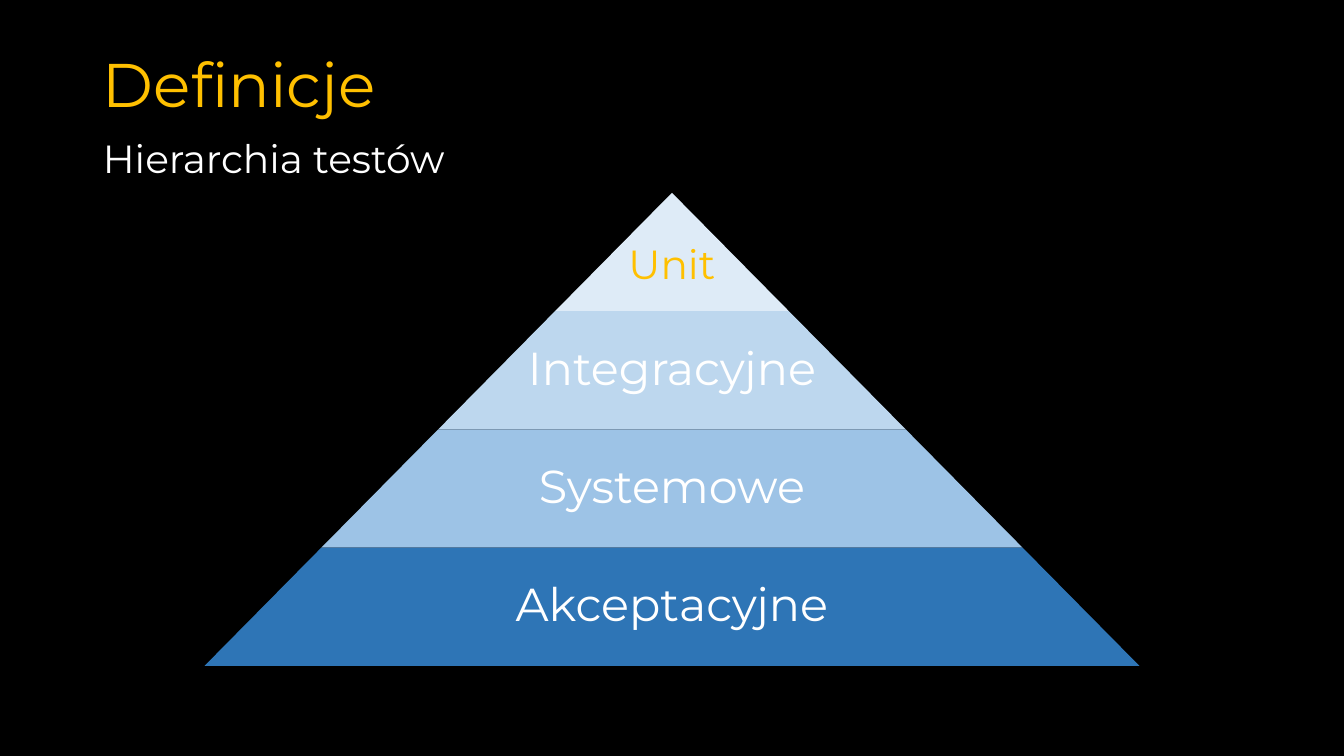
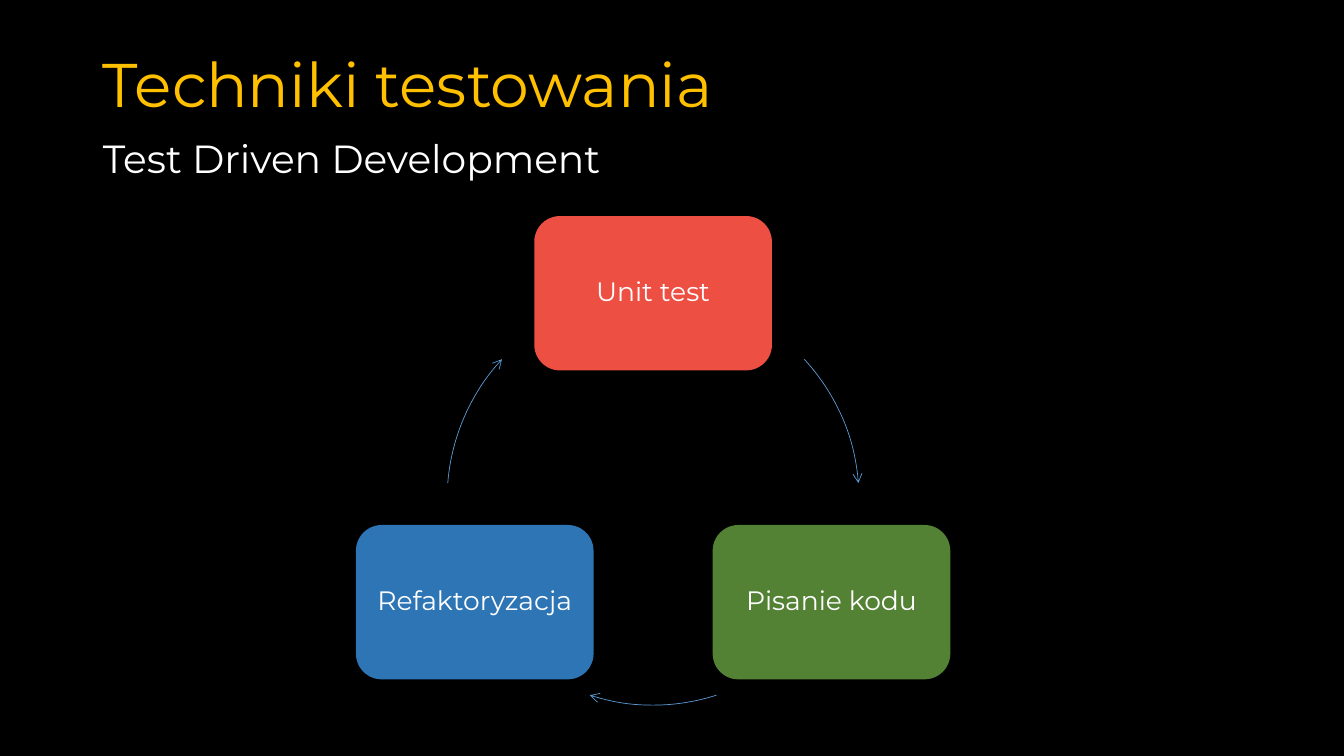
import math

import pptx
import pptx.dml.color
import pptx.enum.shapes
import pptx.enum.text
import pptx.util
from lxml import etree
from pptx.oxml.ns import qn

Cm = pptx.util.Cm
Pt = pptx.util.Pt
RGBColor = pptx.dml.color.RGBColor
MSO_SHAPE = pptx.enum.shapes.MSO_SHAPE
MSO_ANCHOR = pptx.enum.text.MSO_ANCHOR
PP_ALIGN = pptx.enum.text.PP_ALIGN

FONT = "Montserrat"
BLACK = RGBColor(0x00, 0x00, 0x00)
WHITE = RGBColor(0xFF, 0xFF, 0xFF)
GOLD = RGBColor(0xFF, 0xC0, 0x00)
PALE_BLUE = RGBColor(0xDE, 0xEB, 0xF7)
LIGHT_BLUE = RGBColor(0xBD, 0xD7, 0xEE)
SOFT_BLUE = RGBColor(0x9D, 0xC3, 0xE6)
DEEP_BLUE = RGBColor(0x2E, 0x75, 0xB6)
ARROW_BLUE = RGBColor(0x5B, 0x9B, 0xD5)
RED = RGBColor(0xED, 0x4F, 0x43)
GREEN = RGBColor(0x54, 0x82, 0x35)

SLIDE_WIDTH, SLIDE_HEIGHT = 33.87, 19.05

# Pyramid: level n is n steps wide
PYRAMID_TOP = 4.86
LEVEL_HEIGHT = 2.98
LEVEL_STEP = 5.89

# Cycle: boxes sit on a circle, arrows run along it
CYCLE_X, CYCLE_Y, CYCLE_RADIUS = 16.46, 12.58, 5.19
BOX_WIDTH, BOX_HEIGHT = 5.99, 3.89


def prepare_layout(presentation):
    """Set the background and placeholder places that all slides inherit."""
    fill = presentation.slide_master.background.fill
    fill.solid()
    fill.fore_color.rgb = BLACK
    layout = presentation.slide_layouts.get_by_name("Title and Content")
    for index, top, height in ((0, 1.02, 2.39), (1, 3.4, 1.47)):
        placeholder = next(item for item in layout.placeholders
                           if item.placeholder_format.idx == index)
        placeholder.left, placeholder.top = Cm(2.34), Cm(top)
        placeholder.width, placeholder.height = Cm(29.21), Cm(height)
    return layout


def write_text(shape, text, size, color, align, anchor):
    frame = shape.text_frame
    frame.text = text
    frame.vertical_anchor = anchor
    frame.auto_size = pptx.enum.text.MSO_AUTO_SIZE.NONE
    paragraph = frame.paragraphs[0]
    paragraph.alignment = align
    paragraph.line_spacing = 0.9
    paragraph.font.name = FONT
    paragraph.font.size = Pt(size)
    paragraph.font.bold = False
    paragraph.font.color.rgb = color
    return paragraph


def add_titled_slide(presentation, layout, title, subtitle):
    slide = presentation.slides.add_slide(layout)
    write_text(slide.shapes.title, title, 44, GOLD,
               PP_ALIGN.LEFT, MSO_ANCHOR.MIDDLE)
    paragraph = write_text(slide.placeholders[1], subtitle, 28, WHITE,
                           PP_ALIGN.LEFT, MSO_ANCHOR.TOP)
    paragraph.space_before = Pt(10)
    properties = paragraph._p.get_or_add_pPr()
    properties.set("marL", "0")
    properties.set("indent", "0")
    bullet = etree.Element(qn("a:buNone"))
    properties.append(bullet)
    return slide


def add_block(slide, preset, center_x, center_y, width, height, color,
              text, size, text_color=WHITE):
    shape = slide.shapes.add_shape(
        preset, Cm(center_x - width / 2), Cm(center_y - height / 2),
        Cm(width), Cm(height))
    shape.shadow.inherit = False
    shape.fill.solid()
    shape.fill.fore_color.rgb = color
    shape.line.fill.background()
    frame = shape.text_frame
    frame.word_wrap = False
    frame.margin_left = frame.margin_right = 0
    frame.margin_top = frame.margin_bottom = 0
    write_text(shape, text, size, text_color,
               PP_ALIGN.CENTER, MSO_ANCHOR.MIDDLE)
    return shape


def add_pyramid(slide, levels):
    for number, (text, color, size, text_color) in enumerate(levels, 1):
        shape = add_block(
            slide, MSO_SHAPE.TRAPEZOID, SLIDE_WIDTH / 2,
            PYRAMID_TOP + (number - 0.5) * LEVEL_HEIGHT,
            number * LEVEL_STEP, LEVEL_HEIGHT, color, text, size, text_color)
        shape.adjustments[0] = LEVEL_STEP / 2 / LEVEL_HEIGHT
        # A trapezoid's text area starts lower the narrower it is;
        # the bottom margin centres the text again, except at the tip.
        text_offset = LEVEL_HEIGHT / 3 / number
        shape.text_frame.margin_bottom = Cm(0.25 if number == 1
                                            else text_offset)


def add_arc_arrow(slide, start, end):
    """Draw a clockwise arrow on the cycle; angles are in degrees."""
    arc = slide.shapes.add_shape(
        MSO_SHAPE.ARC, Cm(CYCLE_X - CYCLE_RADIUS), Cm(CYCLE_Y - CYCLE_RADIUS),
        Cm(2 * CYCLE_RADIUS), Cm(2 * CYCLE_RADIUS))
    arc.shadow.inherit = False
    # Adjustments count 100000ths, angles 60000ths of a degree
    arc.adjustments[0] = start * 0.6
    arc.adjustments[1] = end * 0.6
    arc.fill.background()
    arc.line.color.rgb = ARROW_BLUE
    arc.line.width = Pt(0.5)
    etree.SubElement(arc.line._get_or_add_ln(), qn("a:tailEnd"), type="arrow")


def add_cycle(slide, steps):
    for number, (text, color) in enumerate(steps):
        angle = math.radians(360 / len(steps) * number - 90)
        add_block(slide, MSO_SHAPE.ROUNDED_RECTANGLE,
                  CYCLE_X + CYCLE_RADIUS * math.cos(angle),
                  CYCLE_Y + CYCLE_RADIUS * math.sin(angle),
                  BOX_WIDTH, BOX_HEIGHT, color, text, 19)
    for start, end in ((317.2, 355.5), (72.1, 107.9), (184.5, 222.8)):
        add_arc_arrow(slide, start, end)


def main():
    presentation = pptx.Presentation()
    presentation.slide_width = Cm(SLIDE_WIDTH)
    presentation.slide_height = Cm(SLIDE_HEIGHT)
    layout = prepare_layout(presentation)

    hierarchy = add_titled_slide(presentation, layout,
                                 "Definicje", "Hierarchia testów")
    add_pyramid(hierarchy, (
        ("Unit", PALE_BLUE, 29, GOLD),
        ("Integracyjne", LIGHT_BLUE, 33, WHITE),
        ("Systemowe", SOFT_BLUE, 33, WHITE),
        ("Akceptacyjne", DEEP_BLUE, 33, WHITE),
    ))

    development = add_titled_slide(presentation, layout,
                                   "Techniki testowania",
                                   "Test Driven Development")
    add_cycle(development, (
        ("Unit test", RED),
        ("Pisanie kodu", GREEN),
        ("Refaktoryzacja", DEEP_BLUE),
    ))
    presentation.save("out.pptx")


if __name__ == "__main__":
    main()
